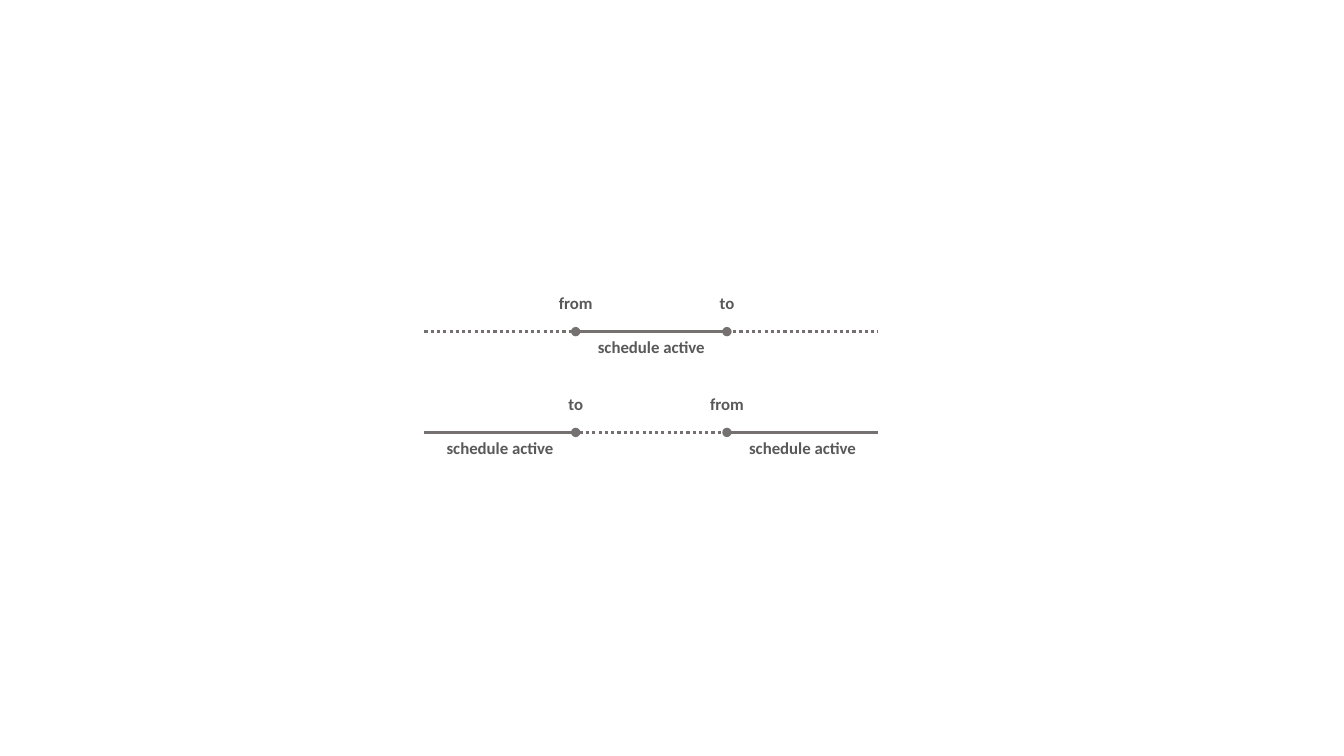
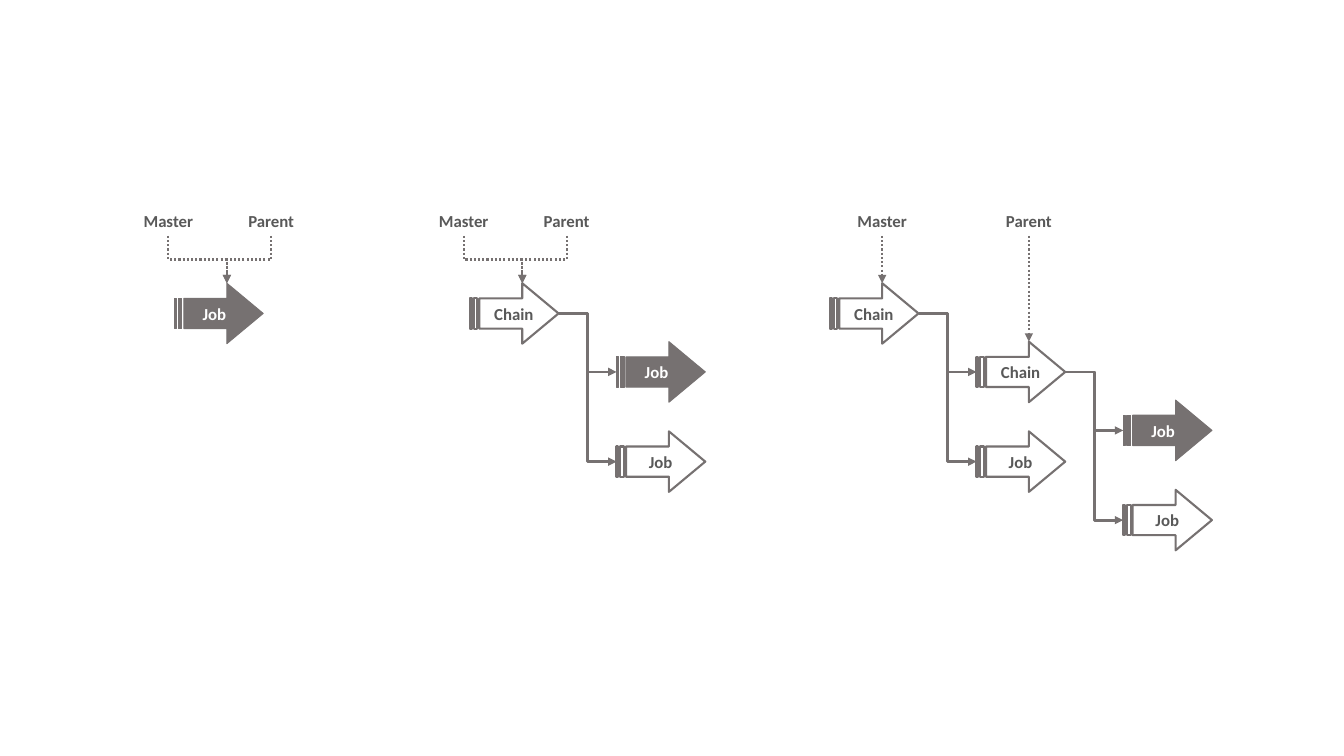
from lxml.etree import SubElement
from pptx import Presentation
from pptx.dml.color import RGBColor
from pptx.enum.dml import MSO_LINE
from pptx.enum.shapes import MSO_CONNECTOR, MSO_SHAPE
from pptx.enum.text import MSO_ANCHOR, MSO_AUTO_SIZE, PP_ALIGN
from pptx.oxml.ns import qn
from pptx.util import Inches, Pt

GRAY = RGBColor(0x76, 0x71, 0x71)
TEXT_GRAY = RGBColor(0x59, 0x59, 0x59)
WHITE = RGBColor(0xFF, 0xFF, 0xFF)
FONT = "Calibri"

LABEL_HEIGHT = 0.3
LABEL_WIDTHS = {"from": 0.54, "to": 0.35, "schedule active": 1.28,
                "Master": 0.7, "Parent": 0.66}

TIMELINE_LEFT = 4.21
SEGMENT_WIDTH = 1.5

ARROW_WIDTH, ARROW_HEIGHT = 0.88, 0.6
HEAD_RATIO = 0.6
HEAD_OFFSET = ARROW_WIDTH - HEAD_RATIO * ARROW_HEIGHT
TREE_TOP = 2.81
CHILD_INDENT = 1.455
CHILD_DROP, SIBLING_GAP = 0.58, 0.89
ROLE_TOP = 2.04
ROLE_BOTTOM = ROLE_TOP + LABEL_HEIGHT


def write_text(shape, text, color):
    frame = shape.text_frame
    frame.text = text
    frame.word_wrap = False
    para = frame.paragraphs[0]
    para.alignment = PP_ALIGN.CENTER
    font = para.runs[0].font
    font.name, font.size, font.bold = FONT, Pt(12), True
    font.color.rgb = color


def add_label(page, text, center, top):
    width = LABEL_WIDTHS[text]
    box = page.shapes.add_textbox(Inches(center - width / 2), Inches(top),
                                  Inches(width), Inches(LABEL_HEIGHT))
    write_text(box, text, TEXT_GRAY)
    box.text_frame.auto_size = MSO_AUTO_SIZE.SHAPE_TO_FIT_TEXT


def add_line(page, start, end, weight, dotted=False, head=None, tail=None,
             kind=MSO_CONNECTOR.STRAIGHT):
    line = page.shapes.add_connector(kind, *map(Inches, (*start, *end)))
    line.line.color.rgb = GRAY
    line.line.width = Pt(weight)
    if dotted:
        line.line.dash_style = MSO_LINE.ROUND_DOT
    properties = line._element.spPr
    outline = properties.find(qn("a:ln"))
    for tag, style in (("a:headEnd", head), ("a:tailEnd", tail)):
        if style:
            SubElement(outline, qn(tag), type=style)
    SubElement(properties, qn("a:effectLst"))
    return line


def add_drop_elbow(page, start, end):
    """Dotted arrow that runs down, across and down, as a turned elbow."""
    (x1, y1), (x2, y2) = start, end
    middle_x, middle_y = (x1 + x2) / 2, (y1 + y2) / 2
    half_height = abs(x2 - x1) / 2
    leftward = x2 < x1
    reach = (y2 - y1) / 2 if leftward else (y1 - y2) / 2
    elbow = add_line(page, (middle_x - reach, middle_y - half_height),
                     (middle_x + reach, middle_y + half_height),
                     1.5, dotted=True, tail="triangle", kind=MSO_CONNECTOR.ELBOW)
    degrees = 90 if leftward else 270
    elbow._element.spPr.find(qn("a:xfrm")).set("rot", str(degrees * 60000))


def add_arrow(page, text, filled, left, top):
    arrow = page.shapes.add_shape(
        MSO_SHAPE.STRIPED_RIGHT_ARROW, Inches(left), Inches(top),
        Inches(ARROW_WIDTH), Inches(ARROW_HEIGHT))
    arrow.shadow.inherit = False
    arrow.adjustments[0] = 0.5
    arrow.adjustments[1] = HEAD_RATIO
    arrow.line.color.rgb = GRAY
    arrow.line.width = Pt(0.75 if filled else 1.5)
    if filled:
        arrow.fill.solid()
        arrow.fill.fore_color.rgb = GRAY
    else:
        arrow.fill.background()
    write_text(arrow, text, WHITE if filled else TEXT_GRAY)
    frame = arrow.text_frame
    frame.vertical_anchor = MSO_ANCHOR.MIDDLE
    frame.margin_left = Inches(0.04 if filled else 0.12)
    frame.margin_right = Inches(0.04)


def add_tree(page, node, left, top):
    text, filled, children = node
    add_arrow(page, text, filled, left, top)
    center = top + ARROW_HEIGHT / 2
    child_left = left + CHILD_INDENT
    for index, child in enumerate(children):
        drop = CHILD_DROP + index * SIBLING_GAP
        add_line(page, (left + ARROW_WIDTH, center), (child_left, center + drop),
                 2, tail="triangle", kind=MSO_CONNECTOR.ELBOW)
        add_tree(page, child, child_left, top + drop)


def add_shared_roles(page, left):
    """Master and Parent both point at the arrow that starts at left."""
    target = left + HEAD_OFFSET
    for role, offset in (("Parent", 0.44), ("Master", -0.58)):
        add_label(page, role, target + offset, ROLE_TOP)
        add_drop_elbow(page, (target + offset, ROLE_BOTTOM), (target, TREE_TOP))


def add_single_role(page, role, left, top):
    center = left + HEAD_OFFSET
    add_label(page, role, center, ROLE_TOP)
    add_line(page, (center, ROLE_BOTTOM), (center, top), 1.5,
             dotted=True, tail="triangle")


def add_timeline(page, y, point_names, active_segments):
    for index in range(3):
        left = TIMELINE_LEFT + index * SEGMENT_WIDTH
        active = index in active_segments
        marker = "oval" if index == 1 else None
        add_line(page, (left, y), (left + SEGMENT_WIDTH, y), 2.25,
                 dotted=not active, head=marker, tail=marker)
        if active:
            add_label(page, "schedule active", left + SEGMENT_WIDTH / 2, y)
    for index, name in enumerate(point_names, 1):
        add_label(page, name, TIMELINE_LEFT + index * SEGMENT_WIDTH, y - 0.43)


def build_schedule_page(page):
    add_timeline(page, 3.29, ("from", "to"), {1})
    add_timeline(page, 4.29, ("to", "from"), {0, 2})


def build_chain_page(page):
    current_job = ("Job", True, ())
    other_job = ("Job", False, ())
    chain = ("Chain", False, (current_job, other_job))
    nested_chain = ("Chain", False, (chain, other_job))

    for tree, left in ((current_job, 1.73), (chain, 4.66)):
        add_tree(page, tree, left, TREE_TOP)
        add_shared_roles(page, left)

    nested_left = 8.23
    add_tree(page, nested_chain, nested_left, TREE_TOP)
    add_single_role(page, "Master", nested_left, TREE_TOP)
    add_single_role(page, "Parent", nested_left + CHILD_INDENT,
                    TREE_TOP + CHILD_DROP)


def main():
    deck = Presentation()
    deck.slide_width, deck.slide_height = Inches(13.33), Inches(7.5)
    for build in (build_schedule_page, build_chain_page):
        build(deck.slides.add_slide(deck.slide_layouts[6]))
    deck.save("out.pptx")


if __name__ == "__main__":
    main()
